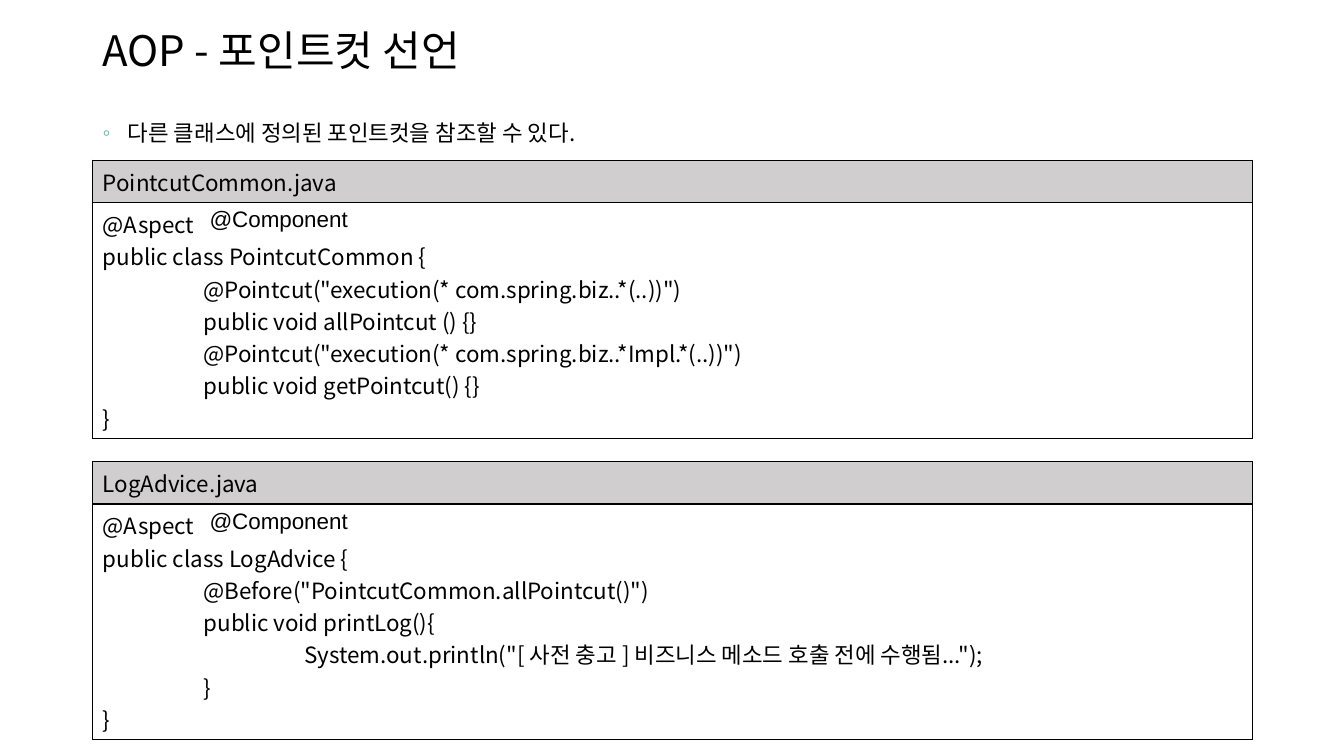
"""Build the slide on declaring and sharing AOP pointcuts."""
from dataclasses import dataclass

from lxml import etree
from pptx import Presentation
from pptx.dml.color import RGBColor
from pptx.enum.text import MSO_ANCHOR
from pptx.oxml.ns import qn
from pptx.util import Inches, Pt

MIDDLE = MSO_ANCHOR.MIDDLE
TOP = MSO_ANCHOR.TOP
SANS = "Noto Sans CJK KR"
LEFT, WIDTH = 0.92, 11.5
HEAD, BODY = 0.42, 2.34


@dataclass
class Label:
    text: str
    left: float
    top: float
    width: float
    height: float
    size: int = 16
    face: str = SANS
    space: float = 1.0
    wrap: bool = True
    bullet: str = ""
    anchor: MSO_ANCHOR = TOP


@dataclass
class Code:
    name: str
    top: float
    lines: list[str]


LABELS = [
    Label("AOP - 포인트컷 선언", LEFT, 0.15, WIDTH, 0.76, size=30, space=0.9, anchor=MIDDLE),
    Label("다른 클래스에 정의된 포인트컷을 참조할 수 있다.", LEFT, 1.08, WIDTH, 0.5,
          space=1.2, bullet="◦"),
]
CODES = [
    Code("PointcutCommon.java", 1.59, [
        "@Aspect",
        "public class PointcutCommon {",
        '\t@Pointcut("execution(* com.spring.biz..*(..))")',
        "\tpublic void allPointcut () {}",
        '\t@Pointcut("execution(* com.spring.biz..*Impl.*(..))")',
        "\tpublic void getPointcut() {}",
        "}",
    ]),
    Code("LogAdvice.java", 4.58, [
        "@Aspect",
        "public class LogAdvice {",
        '\t@Before("PointcutCommon.allPointcut()")',
        "\tpublic void printLog(){",
        '\t\tSystem.out.println("[ 사전 충고 ] 비즈니스 메소드 호출 전에 수행됨...");',
        "\t}",
        "}",
    ]),
]


def color(code: str) -> RGBColor:
    return RGBColor.from_string(code)


def add_run(para, text: str, size: int = 16, face: str = SANS) -> None:
    run = para.add_run()
    run.text = text
    run.font.size = Pt(size)
    run.font.color.rgb = color("000000")
    run.font.name = face
    etree.SubElement(run.font._element, qn("a:ea"), typeface=face)


def add_mark(para, mark: str) -> None:
    props = para._p.get_or_add_pPr()
    props.set("marL", str(Inches(0.25)))
    props.set("indent", str(Inches(-0.25)))
    tint = etree.SubElement(props, qn("a:buClr"))
    etree.SubElement(tint, qn("a:srgbClr"), val="4BB0A0")
    etree.SubElement(props, qn("a:buFont"), typeface="Arial")
    etree.SubElement(props, qn("a:buChar"), char=mark)


def add_tabs(para, count: int) -> None:
    stops = etree.SubElement(para._p.get_or_add_pPr(), qn("a:tabLst"))
    for i in range(1, count + 1):
        etree.SubElement(stops, qn("a:tab"), pos=str(Inches(i)), algn="l")


def add_label(slide, label: Label) -> None:
    box = slide.shapes.add_textbox(Inches(label.left), Inches(label.top),
                                   Inches(label.width), Inches(label.height))
    frame = box.text_frame
    frame.word_wrap = label.wrap
    frame.vertical_anchor = label.anchor
    para = frame.paragraphs[0]
    if label.bullet:
        add_mark(para, label.bullet)
    para.line_spacing = label.space
    add_run(para, label.text, label.size, label.face)


def add_edges(cell) -> None:
    props = cell._tc.get_or_add_tcPr()
    for side in ("lnL", "lnR", "lnT", "lnB"):
        line = etree.SubElement(props, qn(f"a:{side}"), w=str(Pt(1)))
        fill = etree.SubElement(line, qn("a:solidFill"))
        etree.SubElement(fill, qn("a:srgbClr"), val="000000")


def fill_cell(cell, lines: list[str]) -> None:
    add_edges(cell)
    frame = cell.text_frame
    for i, line in enumerate(lines):
        para = frame.add_paragraph() if i else frame.paragraphs[0]
        depth = line.count("\t")
        if depth:
            add_tabs(para, depth)
        add_run(para, line)


def add_code(slide, code: Code) -> None:
    table = slide.shapes.add_table(2, 1, Inches(LEFT), Inches(code.top),
                                   Inches(WIDTH), Inches(HEAD + BODY)).table
    table.first_row = table.horz_banding = False
    table.rows[0].height = Inches(HEAD)
    table.rows[1].height = Inches(BODY)
    head, body = table.cell(0, 0), table.cell(1, 0)
    fill_cell(head, [code.name])
    head.fill.solid()
    head.fill.fore_color.rgb = color("D0CECE")
    fill_cell(body, code.lines)
    body.fill.background()
    add_label(slide, Label("@Component", 1.98, code.top + 0.4, 1.59, 0.37,
                           face="Arial", wrap=False))


def main() -> None:
    deck = Presentation()
    deck.slide_width, deck.slide_height = Inches(13.33), Inches(7.5)
    slide = deck.slides.add_slide(deck.slide_layouts[6])
    for label in LABELS:
        add_label(slide, label)
    for code in CODES:
        add_code(slide, code)
    deck.save("out.pptx")


if __name__ == "__main__":
    main()
